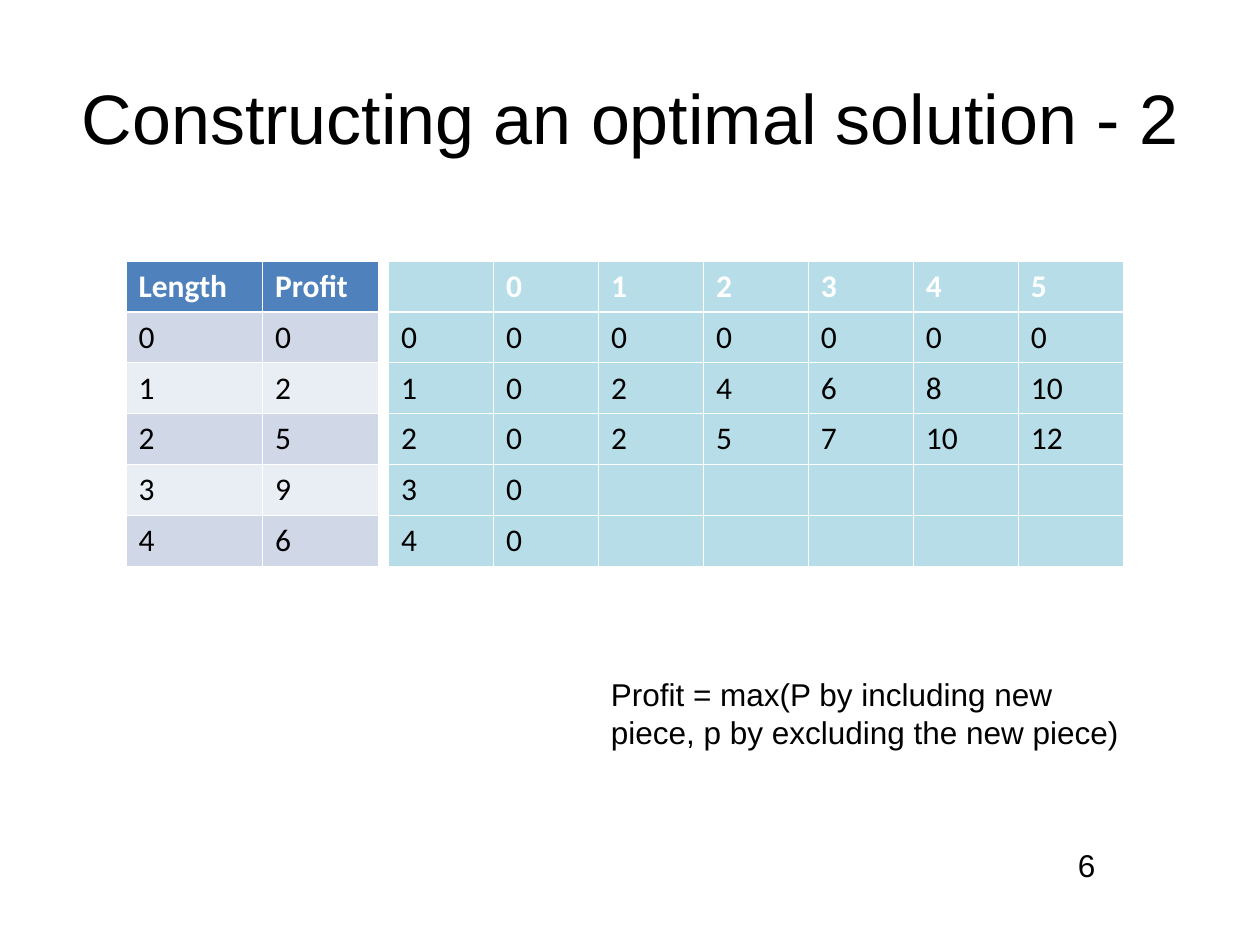
from lxml.etree import SubElement
from pptx import Presentation
from pptx.dml.color import RGBColor
from pptx.enum.text import MSO_ANCHOR as Anchor, MSO_AUTO_SIZE as AutoSize, PP_ALIGN as Align
from pptx.oxml.ns import qn
from pptx.util import Inches, Pt

BLACK = RGBColor(0x00, 0x00, 0x00)
WHITE = RGBColor(0xFF, 0xFF, 0xFF)
BLUE = RGBColor(0x4F, 0x81, 0xBD)
BAND_DARK = RGBColor(0xD0, 0xD8, 0xE8)
BAND_LIGHT = RGBColor(0xE9, 0xED, 0xF4)
AQUA = RGBColor(0xB7, 0xDE, 0xE8)

COLUMNS, ROWS = 12, 18
TABLE_TOP, TABLE_ROW = 4.97, 0.97

PROFITS = [
    ["Length", "Profit"],
    [0, 0],
    [1, 2],
    [2, 5],
    [3, 9],
    [4, 6],
]
SOLUTION = [
    ["", 0, 1, 2, 3, 4, 5],
    [0, 0, 0, 0, 0, 0, 0],
    [1, 0, 2, 4, 6, 8, 10],
    [2, 0, 2, 5, 7, 10, 12],
    [3, 0, "", "", "", "", ""],
    [4, 0, "", "", "", "", ""],
]


class Deck:
    text_font, table_font, size = "Arial", "Calibri", 18
    thin, thick = Pt(0.45), Pt(1.47)

    def __init__(self):
        self.prs = Presentation()
        self.prs.slide_width, self.prs.slide_height = Inches(10), Inches(7.5)
        self.s = self.prs.slides.add_slide(self.prs.slide_layouts[6])

    def x(self, columns):
        return round(self.prs.slide_width * columns / COLUMNS)

    def y(self, rows):
        return round(self.prs.slide_height * rows / ROWS)

    def style(self, p, font, size, color, bold=False):
        for r in p.runs:
            r.font.name, r.font.size, r.font.bold = font, Pt(size), bold
            r.font.color.rgb = color

    def text(self, text, left, top, width, height, size=size, align=Align.LEFT,
             anchor=Anchor.TOP, auto_size=AutoSize.SHAPE_TO_FIT_TEXT):
        sp = self.s.shapes.add_textbox(self.x(left), self.y(top), self.x(width), self.y(height))
        tf = sp.text_frame
        tf.text, tf.word_wrap = text, True
        tf.auto_size, tf.vertical_anchor = auto_size, anchor
        p = tf.paragraphs[0]
        p.alignment = align
        self.style(p, self.text_font, size, BLACK)

    def border(self, cell, side, width):
        ln = SubElement(cell._tc.get_or_add_tcPr(), qn(f"a:ln{side}"), w=str(width))
        fill = SubElement(ln, qn("a:solidFill"))
        SubElement(fill, qn("a:srgbClr"), val=str(WHITE))

    def table(self, data, left, widths, header, bands):
        sp = self.s.shapes.add_table(len(data), len(widths), self.x(left), self.y(TABLE_TOP),
                                     self.x(sum(widths)), self.y(TABLE_ROW * len(data)))
        table = sp.table
        for column, width in zip(table.columns, widths):
            column.width = self.x(width)
        for i, values in enumerate(data):
            fill = header if i == 0 else bands[(i - 1) % len(bands)]
            top = self.thick if i == 1 else self.thin
            bottom = self.thick if i == 0 else self.thin
            for j, value in enumerate(values):
                cell = table.cell(i, j)
                cell.text = str(value)
                cell.vertical_anchor = Anchor.MIDDLE
                for side, width in zip("LRTB", (self.thin, self.thin, top, bottom)):
                    self.border(cell, side, width)
                cell.fill.solid()
                cell.fill.fore_color.rgb = fill
                self.style(cell.text_frame.paragraphs[0], self.table_font, self.size,
                           WHITE if i == 0 else BLACK, bold=i == 0)


def main():
    deck = Deck()
    deck.text("6", 9.5, 16, 1.7, 0.96, align=Align.CENTER)
    deck.text("Constructing an optimal solution - 2", 0.6, 0.72, 10.8, 3, size=40,
              align=Align.CENTER, anchor=Anchor.MIDDLE, auto_size=AutoSize.NONE)
    deck.table(SOLUTION, 3.7, [1] * 7, AQUA, [AQUA])
    deck.text("Profit = max(P by including new piece, p by excluding the new piece)",
              5.7, 12.74, 5.3, 1.68)
    deck.table(PROFITS, 1.2, [1.3, 1.1], BLUE, [BAND_DARK, BAND_LIGHT])
    deck.prs.save("out.pptx")


if __name__ == "__main__":
    main()
